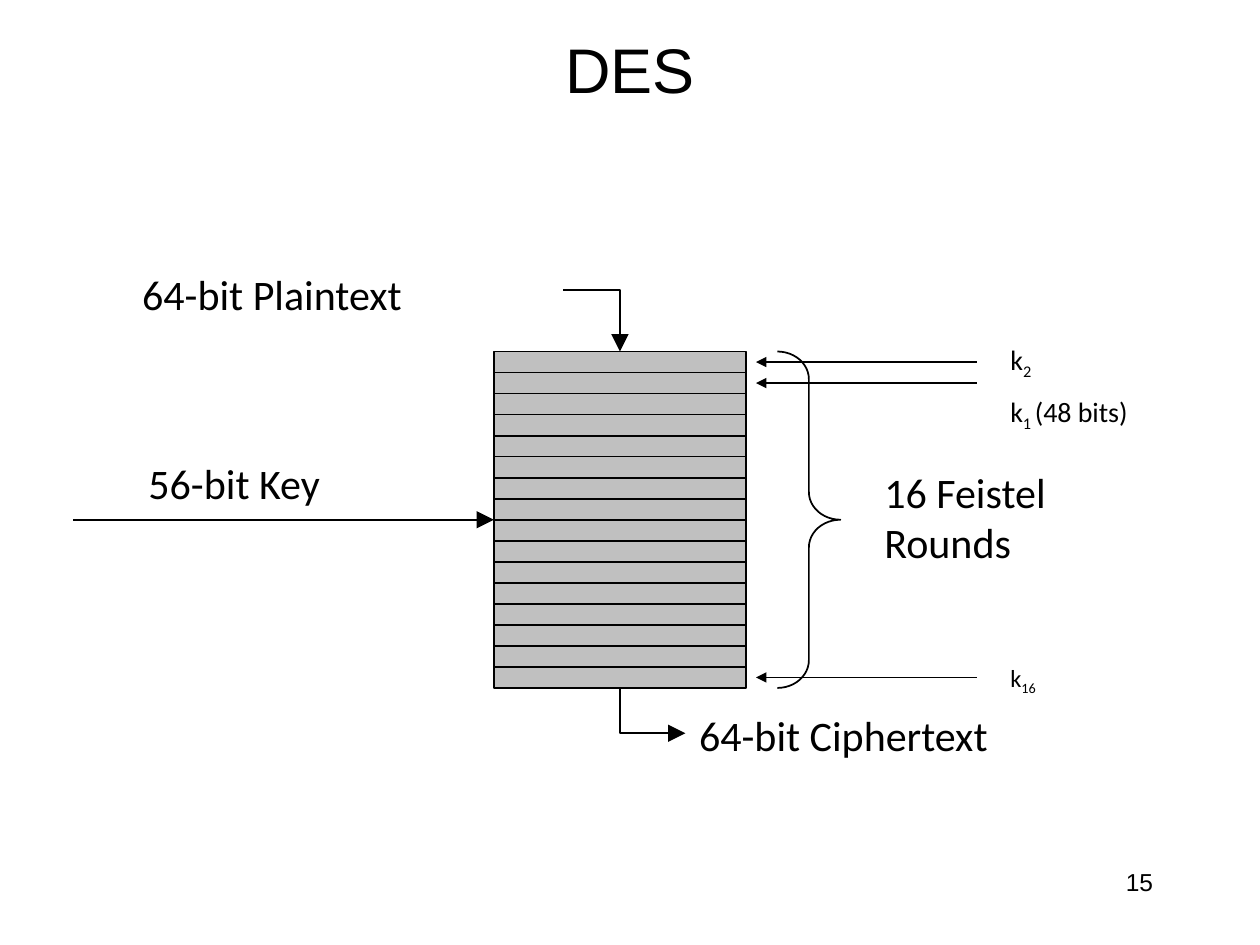
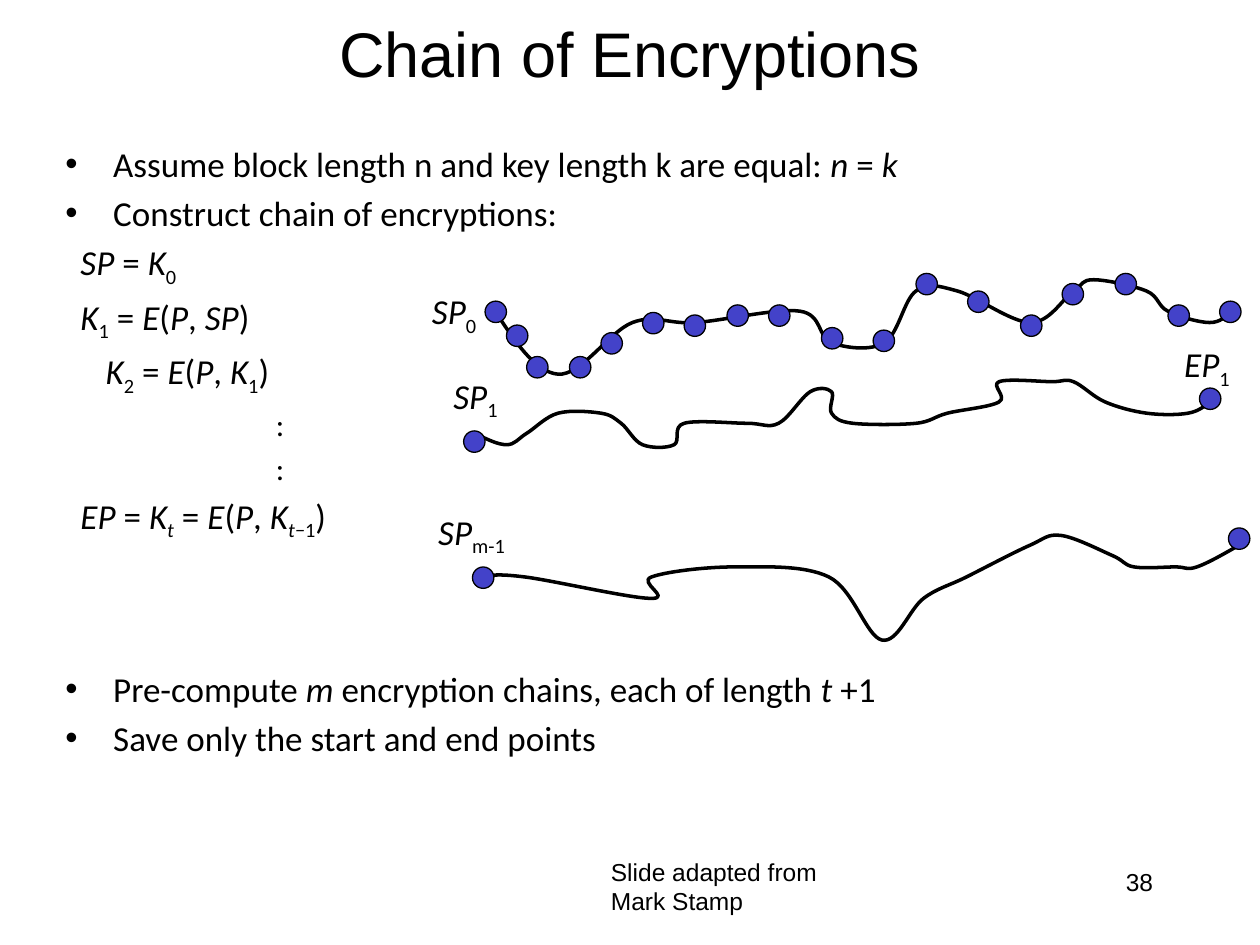
from dataclasses import dataclass
from typing import NamedTuple, Optional

from lxml.etree import SubElement
from pptx import Presentation
from pptx.dml.color import RGBColor
from pptx.enum.shapes import MSO_CONNECTOR as Line, MSO_SHAPE as Shape
from pptx.enum.text import MSO_ANCHOR as Anchor, PP_ALIGN as Align
from pptx.oxml.ns import qn
from pptx.util import Cm, Length, Pt

BLACK = RGBColor(0x00, 0x00, 0x00)
SILVER = RGBColor(0xC0, 0xC0, 0xC0)
INDIGO = RGBColor(0x43, 0x42, 0xC9)
HEADING, BODY = "Arial", "Calibri"
TITLE_ONLY = 5


def inch(n: float) -> Length:
    return Cm(2.54 * n)


FRAME = {
    "margin_left": inch(0.1), "margin_right": inch(0.1),
    "margin_top": inch(0.05), "margin_bottom": inch(0.05),
}


class Point(NamedTuple):
    x: float
    y: float

    def emu(self) -> tuple[Length, Length]:
        return inch(self.x), inch(self.y)


class Box(NamedTuple):
    left: float
    top: float
    width: float
    height: float

    def emu(self) -> list[Length]:
        return [inch(n) for n in self]


@dataclass(frozen=True)
class Label:
    lines: tuple[str, ...]
    box: Box
    size: int = 24
    font: str = BODY
    wrap: bool = False
    align: Align = Align.LEFT


@dataclass(frozen=True)
class BodyLine:
    text: str
    margin: float = 0.12
    size: int = 20
    before: float = 4
    bullet: bool = False


@dataclass(frozen=True)
class Chain:
    knots: tuple[Point, ...]
    dots: tuple[Point, ...]


def points(*pairs: tuple[float, float]) -> tuple[Point, ...]:
    return tuple(Point(*pair) for pair in pairs)


PAGE_NUMBER = Box(7.17, 6.83, 2.08, 0.5)

# DES diagram
CIPHER = Box(3.92, 2.79, 2, 2.67)
ROUNDS = 16
KEYED_ROUNDS = (0, 1, 15)
ELBOWS = (
    points((4.47, 2.3), (4.92, 2.3), (4.92, 2.79)),
    points((4.92, 5.46), (4.92, 5.82), (5.44, 5.82)),
)
DES_LABELS = (
    Label(("64-bit Plaintext",), Box(1.03, 2.08, 2.28, 0.5)),
    Label(("64-bit Ciphertext",), Box(5.45, 5.58, 2.51, 0.5)),
    Label(("56-bit Key",), Box(1.08, 3.58, 1.58, 0.5)),
    Label(("16 Feistel", "Rounds"), Box(6.92, 3.65, 1.49, 0.91)),
    Label(("k_1 _(48 bits)",), Box(7.92, 3.08, 1.67, 0.37), 16, wrap=True),
    Label(("k_2_",), Box(7.92, 2.67, 0.92, 0.37), 16, wrap=True),
    Label(("k_16_",), Box(7.92, 5.21, 0.58, 0.33), 14, wrap=True),
)

# Encryption chains
BODY_BOX = Box(0.42, 1.08, 9.25, 5.58)
BODY_LINES = (
    BodyLine("Assume block length n and key length k are equal: *n* = *k*", 0.38, bullet=True),
    BodyLine("Construct chain of encryptions:", 0.38, bullet=True),
    BodyLine("*SP* = *K*_0_"),
    BodyLine("*K*_1_ = *E*(*P*, *SP*)"),
    BodyLine("*K*_2_ = *E*(*P*, *K*_1_)", 0.32),
    BodyLine(":", 1.67, 18),
    BodyLine(":", 1.67, 18),
    BodyLine("*EP* = *K*_*t*_ = *E*(*P*, *K*_*t−*1_)"),
    BodyLine("Pre-compute *m* encryption chains, each of length *t* +1", 0.38, before=72, bullet=True),
    BodyLine("Save only the start and end points", 0.38, bullet=True),
)
CHAIN_LABELS = (
    Label(("*SP*_0_",), Box(3.33, 2.25, 0.57, 0.44), 20),
    Label(("*SP*_1_",), Box(3.5, 2.92, 0.57, 0.44), 20),
    Label(("*SP*_m-1_",), Box(3.38, 4, 0.8, 0.43), 20),
    Label(("*EP*_1_",), Box(9.3, 2.67, 0.58, 0.44), 20),
    Label(("Slide adapted from Mark Stamp",), Box(4.75, 6.75, 2.08, 0.5), 14, HEADING, True),
)
DOT = 0.17
CHAINS = (
    Chain(
        points((3.93, 2.47), (4.43, 2.97), (5.02, 2.56), (5.52, 2.56),
               (6.35, 2.47), (6.6, 2.72), (7.02, 2.72), (7.27, 2.31),
               (7.6, 2.31), (8.18, 2.56), (8.52, 2.31), (8.68, 2.22),
               (9.1, 2.31), (9.27, 2.47), (9.6, 2.56), (9.77, 2.47)),
        points((3.85, 2.39), (4.02, 2.58), (4.18, 2.83), (4.52, 2.83),
               (4.77, 2.64), (5.1, 2.48), (5.43, 2.5), (5.77, 2.42),
               (6.1, 2.42), (6.52, 2.6), (6.93, 2.62), (7.27, 2.17),
               (7.68, 2.31), (8.1, 2.5), (8.43, 2.25), (8.85, 2.17),
               (9.27, 2.42), (9.68, 2.39)),
    ),
    Chain(
        points((3.77, 3.44), (4.02, 3.53), (4.18, 3.44), (4.43, 3.28),
               (4.77, 3.28), (4.93, 3.36), (5.1, 3.53), (5.35, 3.53),
               (5.43, 3.36), (5.93, 3.36), (6.18, 3.36), (6.43, 3.11),
               (6.6, 3.11), (6.6, 3.28), (6.77, 3.36), (7.27, 3.36),
               (7.52, 3.28), (7.93, 3.19), (7.93, 3.03), (8.35, 3.03),
               (8.52, 3.03), (8.77, 3.19), (9.1, 3.28), (9.43, 3.28),
               (9.6, 3.19)),
        points((3.68, 3.42), (9.52, 3.08)),
    ),
    Chain(
        points((3.83, 4.58), (4.17, 4.58), (5.17, 4.75), (5.17, 4.58),
               (5.83, 4.5), (6.58, 4.58), (7, 5.08), (7.33, 4.75),
               (7.67, 4.58), (8.17, 4.33), (8.42, 4.25), (8.83, 4.41),
               (9, 4.5), (9.33, 4.5), (9.5, 4.5), (9.83, 4.33)),
        points((3.75, 4.5), (9.75, 4.19)),
    ),
)


def write(p, text: str, size: int, font: str) -> None:
    """Add runs to p; * switches italics and _ switches subscript."""
    italic = subscript = False
    for token in text.replace("*", "|*|").replace("_", "|_|").split("|"):
        if token == "*":
            italic = not italic
        elif token == "_":
            subscript = not subscript
        elif token:
            r = p.add_run()
            r.text = token
            r.font.color.rgb = BLACK
            style = {"name": font, "size": Pt(size), "italic": italic}
            for name, value in style.items():
                setattr(r.font, name, value)
            if subscript:
                r.font._element.set("baseline", "-25000")


def set_frame(tf, wrap: bool, anchor: Anchor = Anchor.TOP) -> None:
    style = {**FRAME, "word_wrap": wrap, "vertical_anchor": anchor}
    for name, value in style.items():
        setattr(tf, name, value)


def add_label(s, label: Label) -> None:
    tf = s.shapes.add_textbox(*label.box.emu()).text_frame
    set_frame(tf, label.wrap)
    for i, line in enumerate(label.lines):
        p = tf.add_paragraph() if i else tf.paragraphs[0]
        p.alignment = label.align
        write(p, line, label.size, label.font)


def add_body(s) -> None:
    tf = s.shapes.add_textbox(*BODY_BOX.emu()).text_frame
    set_frame(tf, True)
    for i, line in enumerate(BODY_LINES):
        p = tf.add_paragraph() if i else tf.paragraphs[0]
        p.space_before = Pt(line.before)
        pPr = p._p.get_or_add_pPr()
        pPr.set("marL", str(inch(line.margin)))
        if line.bullet:
            pPr.set("indent", str(-inch(line.margin)))
            SubElement(pPr, qn("a:buFont"), typeface=HEADING)
            SubElement(pPr, qn("a:buChar"), char="•")
        write(p, line.text, line.size, BODY)


def add_slide(prs, title: str, box: Box, number: int):
    s = prs.slides.add_slide(prs.slide_layouts[TITLE_ONLY])
    sp = s.shapes.title
    sp.left, sp.top, sp.width, sp.height = box.emu()
    set_frame(sp.text_frame, True, Anchor.MIDDLE)
    p = sp.text_frame.paragraphs[0]
    p.alignment = Align.CENTER
    write(p, title, 36, HEADING)
    add_label(s, Label((str(number),), PAGE_NUMBER, 14, HEADING, True, Align.RIGHT))
    return s


def set_line(sp, width: float = 1, arrow: Optional[str] = None) -> None:
    """Black line, with an arrowhead of size "med" or "lg" at its end if wanted."""
    sp.line.color.rgb = BLACK
    sp.line.width = Pt(width)
    if arrow:
        SubElement(sp.line._get_or_add_ln(), qn("a:tailEnd"), type="triangle", w=arrow, len=arrow)


def add_shape(s, kind: Shape, box: Box, fill: Optional[RGBColor], width: float = 1):
    sp = s.shapes.add_shape(kind, *box.emu())
    sp.shadow.inherit = False
    if fill is None:
        sp.fill.background()
    else:
        sp.fill.solid()
        sp.fill.fore_color.rgb = fill
    set_line(sp, width)
    return sp


def add_line(s, start: Point, end: Point, arrow: Optional[str] = None):
    c = s.shapes.add_connector(Line.STRAIGHT, *start.emu(), *end.emu())
    set_line(c, arrow=arrow)
    SubElement(c._element.spPr, qn("a:effectLst"))
    return c


def add_outline(s, nodes: tuple[Point, ...], width: float = 1, arrow: Optional[str] = None):
    builder = s.shapes.build_freeform(*nodes[0].emu())
    builder.add_line_segments([node.emu() for node in nodes[1:]], close=False)
    sp = builder.convert_to_shape()
    sp.shadow.inherit = False
    sp.fill.background()
    set_line(sp, width, arrow)
    return sp


def add_curve(s, knots: tuple[Point, ...]) -> None:
    """Draw a smooth Catmull-Rom curve through the knots as Bézier segments."""
    def handle(i: int, sign: int) -> Point:
        a, b, c = knots[i - 1], knots[i], knots[i + 1]
        return Point(b.x + sign * (c.x - a.x) / 6, b.y + sign * (c.y - a.y) / 6)

    def midpoint(a: Point, b: Point) -> Point:
        return Point((a.x + b.x) / 2, (a.y + b.y) / 2)

    last = len(knots) - 1
    nodes = [knots[0]]
    for i in range(last):
        first = handle(i, 1) if i else midpoint(knots[0], handle(1, -1))
        second = handle(i + 1, -1) if i + 1 < last else midpoint(first, knots[last])
        nodes += [first, second, knots[i + 1]]
    sp = add_outline(s, tuple(nodes), 2)
    outline = sp._element.find(".//" + qn("a:path"))
    segments = outline.findall(qn("a:lnTo"))
    for i in range(0, len(segments), 3):
        bezier = SubElement(outline, qn("a:cubicBezTo"))
        for segment in segments[i:i + 3]:
            bezier.append(segment[0])
            outline.remove(segment)


def draw_des(prs) -> None:
    s = add_slide(prs, "DES", Box(0.75, 0.08, 8.5, 0.92), 15)
    cipher = add_shape(s, Shape.RECTANGLE, CIPHER, SILVER)
    left, right = CIPHER.left, CIPHER.left + CIPHER.width
    step = CIPHER.height / ROUNDS
    middle = CIPHER.top + CIPHER.height / 2
    add_line(s, Point(0.58, middle), Point(left, middle), "lg").end_connect(cipher, 1)
    for elbow in ELBOWS:
        add_outline(s, elbow, arrow="lg")
    for i in range(1, ROUNDS):
        y = CIPHER.top + i * step
        divider = add_line(s, Point(left, y), Point(right, y))
        if i == ROUNDS // 2:
            divider.begin_connect(cipher, 1)
            divider.end_connect(cipher, 3)
    brace = add_shape(s, Shape.RIGHT_BRACE, Box(6.17, CIPHER.top, 0.5, CIPHER.height), None)
    brace.adjustments[0], brace.adjustments[1] = 0.44, 0.5
    for i in KEYED_ROUNDS:
        y = CIPHER.top + (i + 0.5) * step
        add_line(s, Point(7.75, y), Point(6, y), "med")
    for label in DES_LABELS:
        add_label(s, label)


def draw_chains(prs) -> None:
    s = add_slide(prs, "Chain of Encryptions", Box(0.75, 0, 8.5, 0.83), 38)
    add_body(s)
    for chain in CHAINS:
        add_curve(s, chain.knots)
        for dot in chain.dots:
            add_shape(s, Shape.OVAL, Box(dot.x, dot.y, DOT, DOT), INDIGO, 0.75)
    for label in CHAIN_LABELS:
        add_label(s, label)


def main() -> None:
    prs = Presentation()
    prs.slide_width, prs.slide_height = inch(10), inch(7.5)
    draw_des(prs)
    draw_chains(prs)
    prs.save("out.pptx")


if __name__ == "__main__":
    main()
